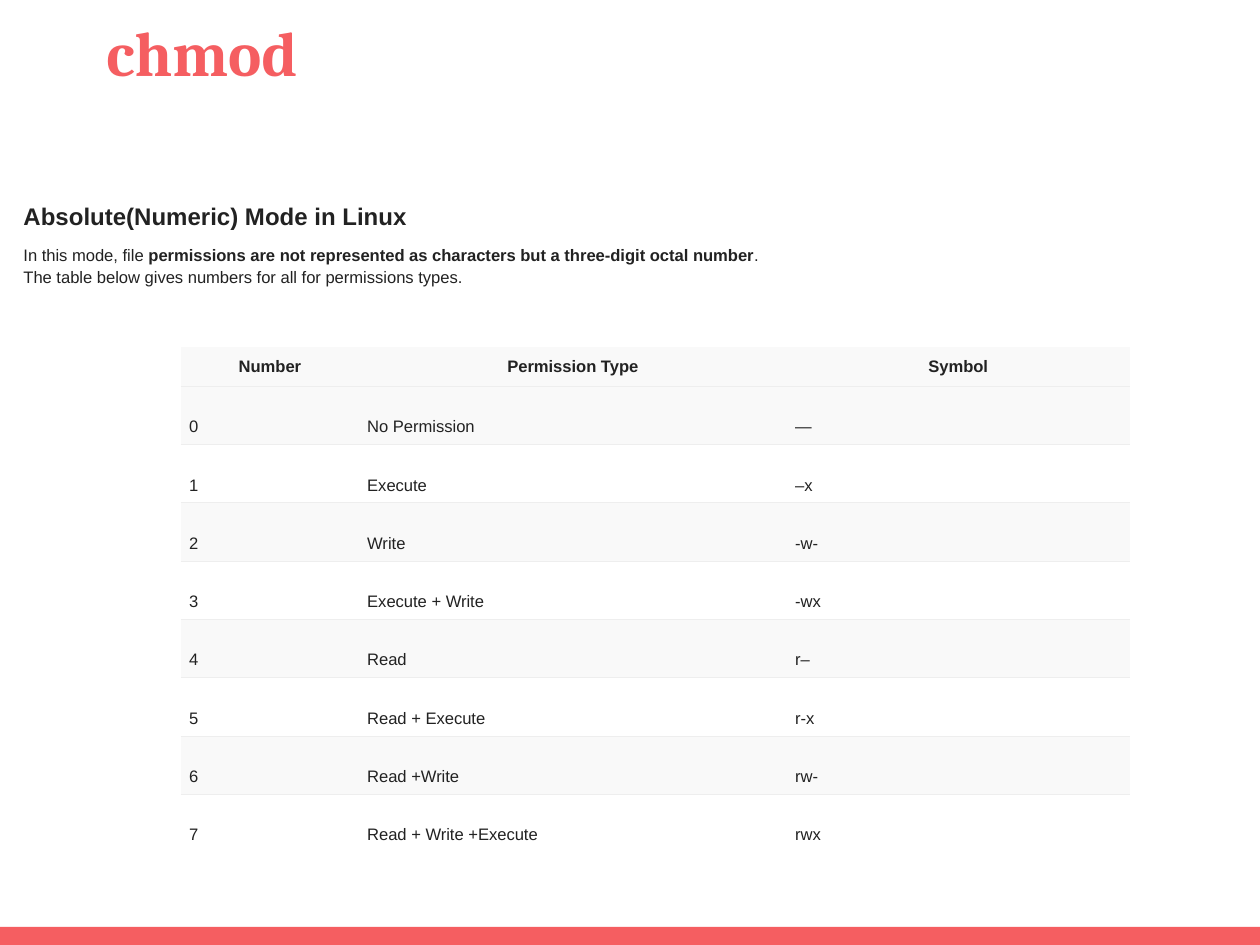
from lxml import etree
from pptx import Presentation
from pptx.dml.color import RGBColor
from pptx.enum.shapes import MSO_SHAPE
from pptx.enum.text import MSO_ANCHOR, PP_ALIGN
from pptx.oxml.ns import qn
from pptx.util import Pt

RECTANGLE = MSO_SHAPE.RECTANGLE
TOP, MIDDLE, BOTTOM = MSO_ANCHOR.TOP, MSO_ANCHOR.MIDDLE, MSO_ANCHOR.BOTTOM
LEFT, CENTER = PP_ALIGN.LEFT, PP_ALIGN.CENTER

CORAL = RGBColor(0xF5, 0x5E, 0x61)
INK = RGBColor(0x22, 0x22, 0x22)
BAND = RGBColor(0xF9, 0xF9, 0xF9)
RULE = RGBColor(0xEE, 0xEE, 0xEE)

PAGE_WIDTH, PAGE_HEIGHT = 1024, 768
BODY_SIZE = 13.5
LINE_SPACING = 1.15
COLUMN_WIDTHS = (144.7, 347.8, 278.6)
HEADER_HEIGHT, ROW_HEIGHT = 31.3, 47.4
CELL_MARGIN = 6.75

PERMISSIONS = [
    ("Number", "Permission Type", "Symbol"),
    ("0", "No Permission", "—"),
    ("1", "Execute", "–x"),
    ("2", "Write", "-w-"),
    ("3", "Execute + Write", "-wx"),
    ("4", "Read", "r–"),
    ("5", "Read + Execute", "r-x"),
    ("6", "Read +Write", "rw-"),
    ("7", "Read + Write +Execute", "rwx"),
]


def set_font(font, name, size, color, bold=None):
    font.name, font.size, font.bold = name, Pt(size), bold
    font.color.rgb = color


def add_text_frame(page, box, margin, anchor):
    frame = page.shapes.add_textbox(*map(Pt, box)).text_frame
    frame.word_wrap = True
    frame.vertical_anchor = anchor
    frame.margin_left = frame.margin_right = Pt(margin)
    frame.margin_top = frame.margin_bottom = Pt(margin)
    return frame


def add_footer_bar(page, box):
    bar = page.shapes.add_shape(RECTANGLE, *map(Pt, box))
    bar.shadow.inherit = False
    bar.fill.solid()
    bar.fill.fore_color.rgb = CORAL
    bar.line.fill.background()


def add_title(page, box):
    para = add_text_frame(page, box, 11.5, TOP).paragraphs[0]
    para.text = "chmod"
    set_font(para.font, "Cambria", 51, CORAL, True)


def add_introduction(page, box):
    frame = add_text_frame(page, box, 7.2, MIDDLE)
    heading = frame.paragraphs[0]
    heading.text = "Absolute(Numeric) Mode in Linux"
    heading.line_spacing = 1.54
    set_font(heading.font, "Arial", 19.5, INK, True)

    summary = frame.add_paragraph()
    summary.space_before = Pt(9)
    for text, bold in (
        ("In this mode, file ", False),
        ("permissions are not represented as characters but a three-digit octal number", True),
        (".", False),
    ):
        span = summary.add_run()
        span.text = text
        span.font.bold = bold

    lead_in = frame.add_paragraph()
    lead_in.text = "The table below gives numbers for all for permissions types."
    for para in (summary, lead_in):
        para.line_spacing = LINE_SPACING
        set_font(para.font, "Arial", BODY_SIZE, INK)


def set_borders(cell, ruled_sides):
    """Rule the named sides (T, B) and leave the others without a line."""
    properties = cell._tc.get_or_add_tcPr()
    for position, side in enumerate("LRTB"):
        line = etree.Element(qn(f"a:ln{side}"), w=str(Pt(0.75)))
        if side in ruled_sides:
            fill = etree.SubElement(line, qn("a:solidFill"))
            etree.SubElement(fill, qn("a:srgbClr"), val=str(RULE))
        else:
            etree.SubElement(line, qn("a:noFill"))
        properties.insert(position, line)


def fill_cell(cell, text, row_number):
    is_header = row_number == 0
    cell.margin_left = cell.margin_right = Pt(CELL_MARGIN)
    cell.margin_top = cell.margin_bottom = Pt(CELL_MARGIN)
    cell.vertical_anchor = TOP if is_header else BOTTOM
    if is_header or row_number % 2:
        cell.fill.solid()
        cell.fill.fore_color.rgb = BAND
    else:
        cell.fill.background()
    is_last = row_number == len(PERMISSIONS) - 1
    set_borders(cell, ("" if is_header else "T") + ("" if is_last else "B"))

    para = cell.text_frame.paragraphs[0]
    para.text = text
    para.alignment = CENTER if is_header else LEFT
    para.line_spacing = LINE_SPACING
    set_font(para.font, "Arial", BODY_SIZE, INK, is_header)


def add_permission_table(page, box):
    table = page.shapes.add_table(
        len(PERMISSIONS), len(COLUMN_WIDTHS), *map(Pt, box)).table
    table.first_row = table.horz_banding = False
    for column, width in zip(table.columns, COLUMN_WIDTHS):
        column.width = Pt(width)
    for row_number, texts in enumerate(PERMISSIONS):
        table.rows[row_number].height = Pt(ROW_HEIGHT if row_number else HEADER_HEIGHT)
        for column_number, text in enumerate(texts):
            fill_cell(table.cell(row_number, column_number), text, row_number)


def main():
    deck = Presentation()
    deck.slide_width, deck.slide_height = Pt(PAGE_WIDTH), Pt(PAGE_HEIGHT)
    page = deck.slides.add_slide(deck.slide_layouts[6])

    add_footer_bar(page, (0, PAGE_HEIGHT - 14.7, PAGE_WIDTH, 14.7))
    add_title(page, (75, 0, 874, 170))
    table_height = HEADER_HEIGHT + ROW_HEIGHT * (len(PERMISSIONS) - 1)
    add_permission_table(page, (147, 281.8, sum(COLUMN_WIDTHS), table_height))
    add_introduction(page, (12, 124.6, 1000, 135.4))

    deck.save("out.pptx")


if __name__ == "__main__":
    main()
